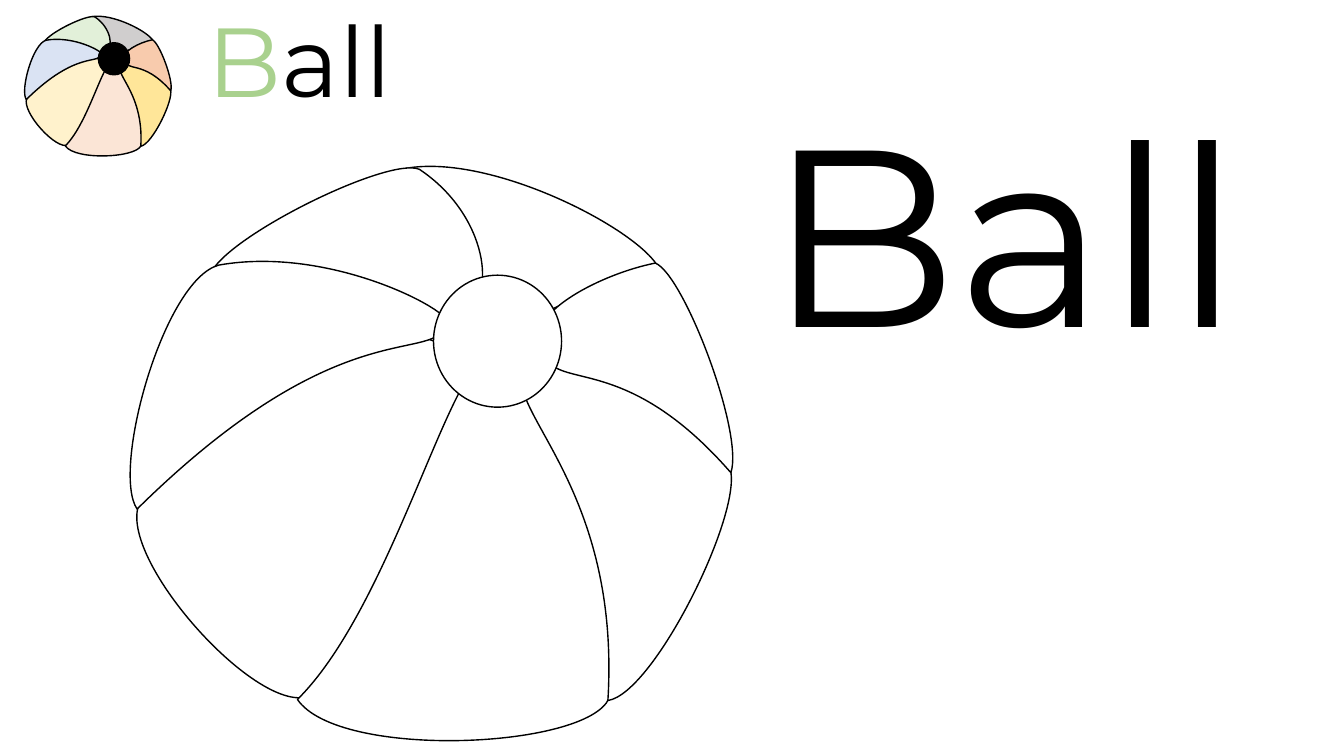
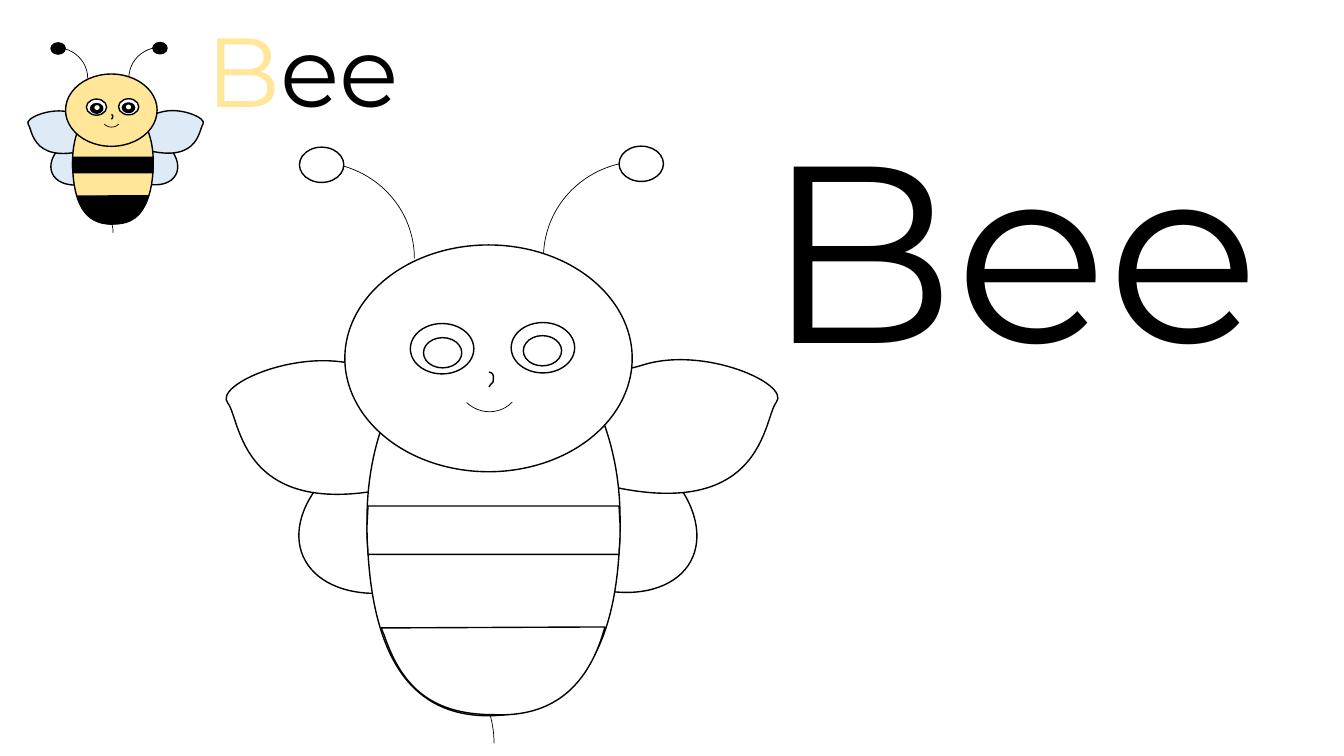
from lxml import etree
from pptx import Presentation
from pptx.dml.color import RGBColor
from pptx.enum.shapes import MSO_SHAPE
from pptx.enum.text import MSO_ANCHOR, MSO_AUTO_SIZE, PP_ALIGN
from pptx.oxml.ns import qn
from pptx.util import Inches, Pt

RECTANGLE = MSO_SHAPE.RECTANGLE
PRESETS = {"ellipse": MSO_SHAPE.OVAL, "arc": MSO_SHAPE.ARC}
TOP, LEFT = MSO_ANCHOR.TOP, PP_ALIGN.LEFT
NO_FIT = MSO_AUTO_SIZE.NONE

FONT = "Montserrat"
TITLE_ONLY = 5
CURVE_STEPS = 16
COLOURS = {
    "black": RGBColor.from_string("000000"), "white": RGBColor.from_string("FFFFFF"),
} | {name: RGBColor.from_string(value) for name, value in {
    "grey": "D0CECE", "cream": "FFF2CC", "peach": "FBE5D6", "yellow": "FFE699",
    "orange": "F8CBAD", "mint": "E2F0D9", "blue": "DAE3F3", "sky": "DEEBF7",
    "green": "A9D18E",
}.items()}

# Parts, back to front, in inches at colouring size: kind, geometry, fill, options.
# A path is a start point followed by line ends (2 numbers) or Bézier curves (6).
BALL = [
    ("path", [(6.54, 2.67), (6.36, 2.29, 4.89, 1.52, 4.03, 1.67),
              (4.85, 2.16, 4.59, 3.1, 5.08, 2.94),
              (5.48, 3.36, 5.55, 2.8, 6.54, 2.67)], "grey", {}),
    ("path", [(1.38, 5), (1.16, 5.55, 2.58, 7.13, 3.08, 6.9),
              (3.5, 6.47, 5.18, 3.66, 4.39, 3.59),
              (4.5, 2.74, 1.6, 4.45, 1.38, 5)], "cream", {}),
    ("path", [(2.95, 6.94), (3.36, 7.54, 5.82, 7.43, 6.04, 6.93),
              (6.37, 5.92, 5.4, 3.42, 4.96, 3.66),
              (4.6, 2.99, 3.99, 5.91, 2.95, 6.94)], "peach", {}),
    ("path", [(6.03, 6.95), (6.49, 6.88, 7.38, 5.07, 7.24, 4.64),
              (6.66, 3.99, 5.39, 3.22, 5.28, 3.58),
              (4.79, 3.95, 6.17, 4.66, 6.03, 6.95)], "yellow", {}),
    ("path", [(7.25, 4.69), (7.38, 4.29, 6.78, 2.72, 6.5, 2.61),
              (5.95, 2.72, 5.23, 3.11, 5.38, 3.39),
              (5.4, 3.97, 6.1, 3.37, 7.25, 4.69)], "orange", {}),
    ("path", [(2.09, 2.71), (2.27, 2.33, 3.86, 1.55, 4.16, 1.68),
              (4.85, 2.14, 4.92, 2.97, 4.61, 3.05),
              (4.2, 3.46, 4.05, 2.38, 2.09, 2.71)], "mint", {}),
    ("path", [(1.36, 5.05), (1.1, 4.67, 1.62, 2.78, 2.17, 2.63),
              (3.29, 2.43, 4.5, 3.1, 4.43, 3.2),
              (4.32, 3.64, 3.42, 3.02, 1.36, 5.05)], "blue", {}),
    ("ellipse", (4.3, 2.73, 1.27, 1.31), "black", {}),
]

BEE = [
    # right antenna, wings
    ("arc", (5.39, 1.6, 1.95, 1.91), None, {"flip": "flipH"}),
    ("ellipse", (4.7, 4.27, 2.29, 1.5), "sky", {"rotation": 28.7}),
    ("path", [(5.52, 4.67), (7.59, 5.39, 7.56, 4.16, 7.7, 3.99),
              (7.84, 3.81, 6.99, 3.43, 6.38, 3.62),
              (5.78, 3.81, 3.45, 3.96, 5.52, 4.67)], "sky", {}),
    ("ellipse", (2.91, 4.31, 2.29, 1.5), "sky", {"rotation": 336.3}),
    ("path", [(4.44, 4.68), (2.37, 5.4, 2.4, 4.17, 2.26, 4),
              (2.11, 3.82, 2.97, 3.44, 3.57, 3.63),
              (4.18, 3.82, 6.51, 3.97, 4.44, 4.68)], "sky", {}),
    # sting, body and head
    ("arc", (2.95, 6.37, 1.95, 2.01), None, {}),
    ("path", [(4.89, 7.1), (3.91, 7.13, 3.64, 6.23, 3.64, 5.15),
              (3.64, 4.08, 4.2, 3.21, 4.89, 3.21),
              (5.59, 3.21, 6.15, 4.08, 6.15, 5.15),
              (6.15, 6.23, 5.87, 7.06, 4.89, 7.1)], "yellow", {}),
    ("ellipse", (3.42, 2.43, 2.85, 2.25), "yellow", {}),
    # left antenna, antenna tips
    ("arc", (2.16, 1.61, 1.95, 1.91), None, {}),
    ("ellipse", (6.14, 1.45, 0.44, 0.35), "black", {}),
    ("ellipse", (2.97, 1.46, 0.44, 0.35), "black", {}),
    # face
    ("ellipse", (5.07, 3.2, 0.63, 0.5), "white", {}),
    ("ellipse", (4.07, 3.21, 0.63, 0.5), "white", {}),
    ("arc", (4.52, 3.45, 0.65, 0.63), None, {"flip": "flipV", "rotation": 43.5}),
    ("ellipse", (4.2, 3.35, 0.38, 0.3), "black", {}),
    ("ellipse", (4.32, 3.4, 0.16, 0.15), "white", {"outlined": False}),
    ("ellipse", (5.19, 3.33, 0.38, 0.3), "black", {}),
    ("ellipse", (5.3, 3.38, 0.16, 0.15), "white", {"outlined": False}),
    ("path", [(4.85, 3.69), (4.87, 3.7, 4.89, 3.7, 4.89, 3.72),
              (4.9, 3.73, 4.89, 3.77, 4.89, 3.79),
              (4.88, 3.81, 4.88, 3.8, 4.87, 3.81),
              (4.86, 3.82, 4.85, 3.84, 4.85, 3.84)], None, {}),
    # stripes
    ("path", [(3.65, 5.02), (6.14, 5.02), (6.15, 5.21),
              (6.15, 5.29, 6.15, 5.38, 6.14, 5.46), (6.14, 5.5), (3.65, 5.5),
              (3.65, 5.46), (3.64, 5.38, 3.64, 5.29, 3.64, 5.21),
              (3.65, 5.02)], "black", {}),
    ("path", [(6, 6.22), (3.78, 6.23), (3.81, 6.3),
              (3.97, 6.77, 4.24, 7.09, 4.89, 7.09),
              (5.49, 7.12, 5.81, 6.8, 5.97, 6.32), (6, 6.22)], "black", {}),
]

# Boxes are left, top, width, height; sample is scale, shift right, shift down.
CARDS = [
    {"word": "Ball", "title_box": (7.51, 0.7, 5.71, 3.13),
     "word_box": (1.96, -0.05, 2.58, 1.28), "initial": "green",
     "parts": BALL, "sample": (1.26 / 5.18, -0.07, -0.24)},
    {"word": "Bee", "title_box": (7.49, 0.86, 6.59, 3.13),
     "word_box": (1.95, 0.05, 2.32, 1.28), "initial": "yellow",
     "parts": BEE, "sample": (0.8 / 2.51, -0.44, -0.04)},
]


def add_curved_path(shapes, path, closed):
    """Add a freeform sized by sampling its curves, then give it true Béziers."""
    outline = [path[0]]
    for segment in path[1:]:
        if len(segment) == 2:
            outline.append(segment)
            continue
        x0, y0 = outline[-1]
        x1, y1, x2, y2, x3, y3 = segment
        for step in range(1, CURVE_STEPS + 1):
            t = step / CURVE_STEPS
            a, b, c, d = (1 - t) ** 3, 3 * t * (1 - t) ** 2, 3 * t * t * (1 - t), t ** 3
            outline.append((a * x0 + b * x1 + c * x2 + d * x3,
                            a * y0 + b * y1 + c * y2 + d * y3))
    outline = [(Inches(x), Inches(y)) for x, y in outline]
    builder = shapes.build_freeform(*outline[0])
    builder.add_line_segments(outline[1:], close=closed)
    freeform = builder.convert_to_shape()

    path_xml = next(freeform.element.iter(qn("a:path")))
    for child in list(path_xml):
        path_xml.remove(child)
    for index, segment in enumerate(path):
        curve_or_line = "a:cubicBezTo" if len(segment) == 6 else "a:lnTo"
        command = etree.SubElement(path_xml, qn(curve_or_line if index else "a:moveTo"))
        for x, y in zip(segment[::2], segment[1::2]):
            etree.SubElement(command, qn("a:pt"), x=str(Inches(x) - freeform.left),
                             y=str(Inches(y) - freeform.top))
    if closed:
        etree.SubElement(path_xml, qn("a:close"))
    return freeform


def draw(slide, parts, scale, dx, dy, coloured):
    """Draw the parts as one group, in colour or as a page to colour in."""
    shapes = slide.shapes.add_group_shape().shapes
    for kind, geometry, fill, options in parts:
        if kind == "path":
            placed = [[v * scale + (dy if i % 2 else dx) for i, v in enumerate(segment)]
                      for segment in geometry]
            part = add_curved_path(shapes, placed, closed=fill is not None)
        else:
            left, top, width, height = geometry
            part = shapes.add_shape(
                PRESETS[kind], Inches(left * scale + dx), Inches(top * scale + dy),
                Inches(width * scale), Inches(height * scale))
        part.rotation = options.get("rotation", 0)
        if "flip" in options:
            part.element.spPr.get_or_add_xfrm().set(options["flip"], "1")
        part.shadow.inherit = False
        shade = fill if coloured else "white"
        if shade:
            part.fill.solid()
            part.fill.fore_color.rgb = COLOURS[shade]
        else:
            part.fill.background()
        if options.get("outlined", True):
            part.line.color.rgb = COLOURS["black"]
            part.line.width = Pt(0.5 if kind == "arc" else 1)
        else:
            part.line.fill.background()


prs = Presentation()
prs.slide_width, prs.slide_height = Inches(13.33), Inches(7.5)

for card in CARDS:
    slide = prs.slides.add_slide(prs.slide_layouts[TITLE_ONLY])

    title = slide.shapes.title
    title.left, title.top, title.width, title.height = map(Inches, card["title_box"])
    title.text_frame.text = card["word"]

    page = slide.shapes.add_shape(RECTANGLE, 0, 0, prs.slide_width, prs.slide_height)
    page.shadow.inherit = False
    page.fill.solid()
    page.fill.fore_color.rgb = page.line.color.rgb = COLOURS["white"]
    page.line.width = Pt(1)
    title.element.addprevious(page.element)

    sample_word = slide.shapes.add_textbox(*map(Inches, card["word_box"]))
    paragraph = sample_word.text_frame.paragraphs[0]
    for letters, colour in ((card["word"][0], card["initial"]),
                            (card["word"][1:], "black")):
        run = paragraph.add_run()
        run.text = letters
        run.font.color.rgb = COLOURS[colour]

    for box, size in ((title, 180), (sample_word, 70)):
        frame = box.text_frame
        frame.word_wrap = True
        frame.auto_size = NO_FIT
        frame.vertical_anchor = TOP
        line = frame.paragraphs[0]
        line.alignment = LEFT
        line.font.name = FONT
        line.font.size = Pt(size)
    title.text_frame.paragraphs[0].font.color.rgb = COLOURS["black"]

    draw(slide, card["parts"], *card["sample"], coloured=True)
    draw(slide, card["parts"], 1, 0, 0, coloured=False)

prs.save("out.pptx")
